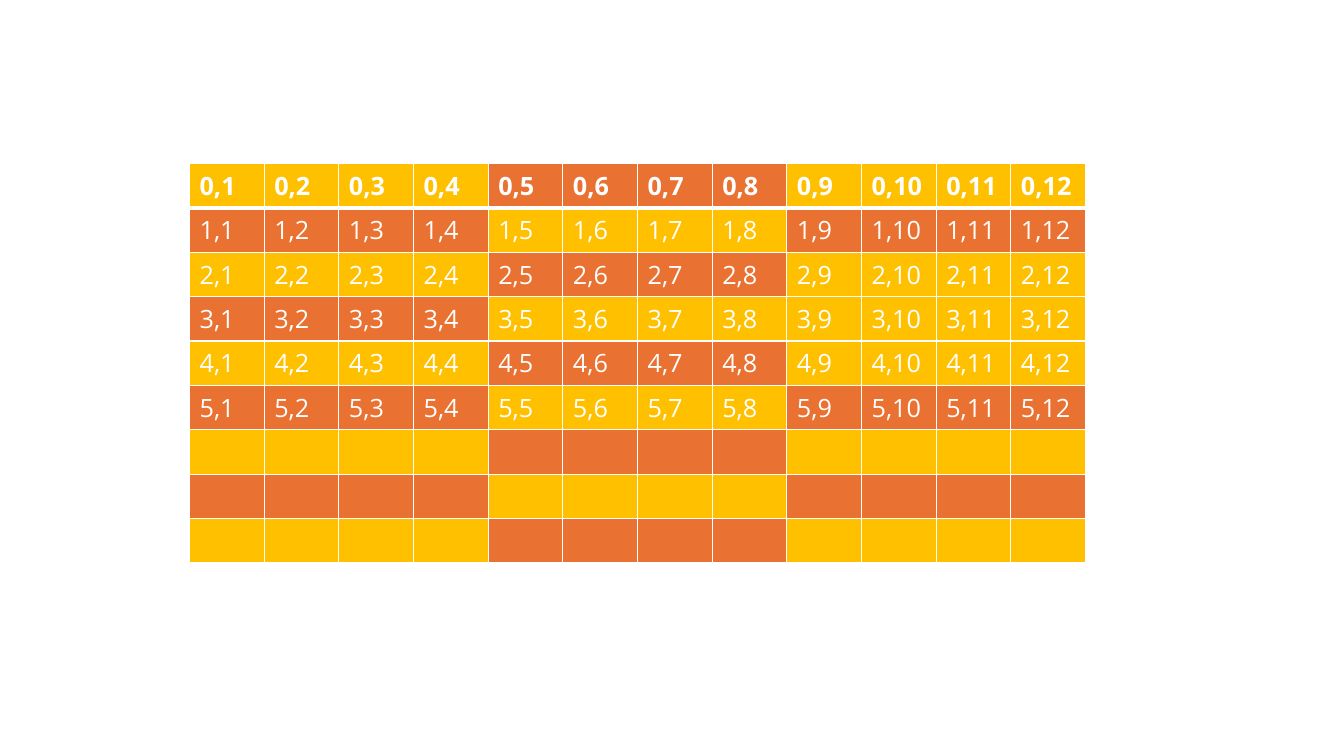
from lxml import etree
from pptx import Presentation
from pptx.dml.color import RGBColor
from pptx.oxml.ns import qn
from pptx.util import Inches, Pt

YELLOW = RGBColor(0xFF, 0xC0, 0x00)
ORANGE = RGBColor(0xE9, 0x71, 0x32)
WHITE = RGBColor(0xFF, 0xFF, 0xFF)
FONT = "Open Sans"
TEXT_SIZE = 18
ROWS, COLUMNS = 9, 12
LABELLED_ROWS = 6
BLOCK_COLUMNS = 4
YELLOW_BLOCKS = {(3, 2)}
BLANK_LAYOUT = 6


def cell_color(row, column):
    block = column // BLOCK_COLUMNS
    if (row, block) in YELLOW_BLOCKS or (row + block) % 2 == 0:
        return YELLOW
    return ORANGE


def set_borders(cell, widths):
    properties = cell._tc.get_or_add_tcPr()
    for index, (side, width) in enumerate(widths.items()):
        line = etree.Element(qn(f"a:ln{side}"), w=str(Pt(width)))
        fill = etree.SubElement(line, qn("a:solidFill"))
        etree.SubElement(fill, qn("a:srgbClr"), val=str(WHITE))
        properties.insert(index, line)


def add_label(cell, text, bold):
    span = cell.text_frame.paragraphs[0].add_run()
    span.text = text
    span.font.name = FONT
    span.font.size = Pt(TEXT_SIZE)
    span.font.bold = bold
    span.font.color.rgb = WHITE


def set_empty_font(cell):
    para = cell.text_frame.paragraphs[0]
    end = etree.SubElement(para._p, qn("a:endParaRPr"), sz=str(TEXT_SIZE * 100))
    etree.SubElement(end, qn("a:latin"), typeface=FONT)


def format_cell(cell, row, column):
    cell.fill.solid()
    cell.fill.fore_color.rgb = cell_color(row, column)
    set_borders(cell, {
        "L": 1,
        "R": 1,
        "T": 3 if row == 1 else 1,
        "B": 3 if row == 0 else 1,
    })
    if row < LABELLED_ROWS:
        add_label(cell, f"{row},{column + 1}", row == 0)
    else:
        set_empty_font(cell)


def add_grid(page):
    frame = page.shapes.add_table(
        ROWS, COLUMNS, Inches(1.88), Inches(1.62), Inches(8.89), Inches(3.65))
    for row, table_row in enumerate(frame.table.rows):
        for column, cell in enumerate(table_row.cells):
            format_cell(cell, row, column)


def main():
    deck = Presentation()
    deck.slide_width = Inches(13.33)
    deck.slide_height = Inches(7.5)
    page = deck.slides.add_slide(deck.slide_layouts[BLANK_LAYOUT])
    add_grid(page)
    deck.save("out.pptx")


if __name__ == "__main__":
    main()
